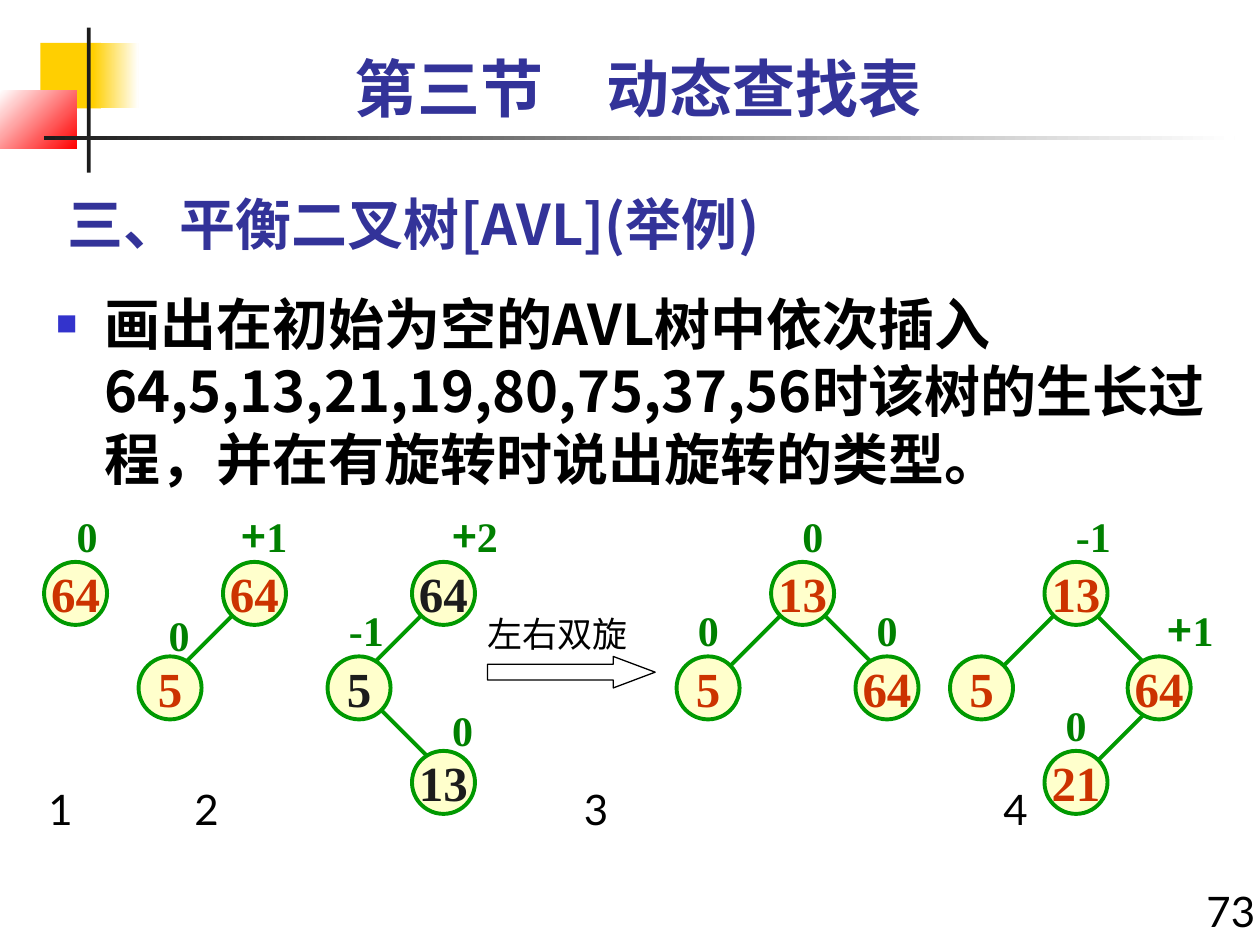
from lxml import etree
from pptx import Presentation
from pptx.dml.color import RGBColor
from pptx.enum.shapes import MSO_CONNECTOR, MSO_SHAPE
from pptx.enum.text import MSO_ANCHOR, PP_ALIGN
from pptx.oxml.ns import qn
from pptx.util import Inches, Pt

LEFT, CENTER, RIGHT = PP_ALIGN.LEFT, PP_ALIGN.CENTER, PP_ALIGN.RIGHT
RECT, OVAL, ARROW = MSO_SHAPE.RECTANGLE, MSO_SHAPE.OVAL, MSO_SHAPE.RIGHT_ARROW
MIDDLE, BOTTOM = MSO_ANCHOR.MIDDLE, MSO_ANCHOR.BOTTOM
STRAIGHT = MSO_CONNECTOR.STRAIGHT

WHITE = RGBColor(0xFF, 0xFF, 0xFF)
BLACK = RGBColor(0x00, 0x00, 0x00)
INK = RGBColor(0x1C, 0x1C, 0x1C)
YELLOW = RGBColor(0xFF, 0xCF, 0x01)
RED = RGBColor(0xFF, 0x00, 0x00)
NAVY = RGBColor(0x33, 0x33, 0x99)
BULLET_COLOR = RGBColor(0x33, 0x33, 0xCC)
NODE_FILL = RGBColor(0xFF, 0xFF, 0xCC)
NODE_LINE = RGBColor(0x00, 0x99, 0x00)
KEY_COLOR = RGBColor(0xCC, 0x33, 0x00)
FACTOR_COLOR = RGBColor(0x00, 0x80, 0x00)

CJK, SANS, SERIF = "Noto Sans CJK SC", "Lato", "Times New Roman"

SECTION = "第三节\u3000动态查找表"
TITLE = "三、平衡二叉树[AVL](举例)"
TASK = "画出在初始为空的AVL树中依次插入64,5,13,21,19,80,75,37,56时该树的生长过程，并在有旋转时说出旋转的类型。"
ROTATION = "左右双旋"
PAGE = "73"

# Decoration: box, first colour, last colour, gradient angle
DECORATION = [
    ((0.32, 0.34, 0.48, 0.52), YELLOW, None, 0),
    ((0.74, 0.34, 0.36, 0.52), YELLOW, WHITE, 0),
    ((0, 0.72, 0.61, 0.46), WHITE, RED, 315),
    ((0.69, 0.22, 0.03, 1.15), INK, None, 0),
    ((0.35, 1.08, 9.45, 0.03), INK, WHITE, 0),
]

# Trees: nodes (key, left, level), edges (start x, level, direction),
# balance factors (text, left, top)
TREES = [
    {"color": KEY_COLOR, "nodes": [("64", 0.35, 0)], "edges": [],
     "factors": [("0", 0.51, 4)]},
    {"color": KEY_COLOR, "nodes": [("64", 1.77, 0), ("5", 1.1, 1)],
     "edges": [(1.85, 0, -1)],
     "factors": [("+1", 1.82, 4), ("0", 1.24, 4.79)]},
    {"color": INK, "nodes": [("64", 3.27, 0), ("5", 2.6, 1), ("13", 3.27, 2)],
     "edges": [(3.35, 0, -1), (3.02, 1, 1)],
     "factors": [("+2", 3.49, 4), ("-1", 2.67, 4.75), ("0", 3.49, 5.54)]},
    {"color": KEY_COLOR, "nodes": [("13", 6.12, 0), ("5", 5.37, 1), ("64", 6.79, 1)],
     "edges": [(6.2, 0, -1), (6.54, 0, 1)],
     "factors": [("0", 6.27, 4), ("0", 5.44, 4.75), ("0", 6.86, 4.75)]},
    {"color": KEY_COLOR,
     "nodes": [("13", 8.29, 0), ("5", 7.54, 1), ("64", 8.95, 1), ("21", 8.29, 2)],
     "edges": [(8.37, 0, -1), (8.7, 0, 1), (9.12, 1, -1)],
     "factors": [("-1", 8.44, 4), ("+1", 9.17, 4.75), ("0", 8.36, 5.5)]},
]
STEPS = [("1", 0.19), ("2", 1.35), ("3", 4.44), ("4", 7.77)]

NODE_SIZE, TREE_TOP, LEVEL_GAP = 0.5, 4.46, 0.75
EDGE_TOP, EDGE_RUN = 4.88, 0.41
FACTOR_WIDTH = {"0": 0.36, "-": 0.48, "+": 0.56}

prs = Presentation()
prs.slide_width, prs.slide_height = Inches(10), Inches(7.5)
slide = prs.slides.add_slide(prs.slide_layouts[6])
shapes = slide.shapes


def style_run(run, size, font, color, bold):
    run.font.size, run.font.name, run.font.bold = Pt(size), font, bold
    run.font.color.rgb = color
    east_asian = etree.SubElement(run.font._element, qn("a:ea"))
    east_asian.set("typeface", CJK)


def add_text(text, box, size, font, color, bold=False, align=LEFT, wrap=True,
             tight=False):
    """Text box; tight fixes the line pitch at 1.2 times the size."""
    frame = shapes.add_textbox(*map(Inches, box)).text_frame
    frame.word_wrap = wrap
    paragraph = frame.paragraphs[0]
    paragraph.text, paragraph.alignment = text, align
    if tight:
        paragraph.line_spacing = Pt(1.2 * size)
    style_run(paragraph.runs[0], size, font, color, bold)
    return frame


def add_preset(kind, box):
    shape = shapes.add_shape(kind, *map(Inches, box))
    shape.shadow.inherit = False
    return shape


def add_node(key, left, level, color):
    node = add_preset(OVAL, (left, TREE_TOP + level * LEVEL_GAP, NODE_SIZE, NODE_SIZE))
    node.fill.solid()
    node.fill.fore_color.rgb = NODE_FILL
    node.line.color.rgb, node.line.width = NODE_LINE, Pt(2.25)
    frame = node.text_frame
    frame.word_wrap, frame.vertical_anchor = False, MIDDLE
    paragraph = frame.paragraphs[0]
    paragraph.text, paragraph.alignment = key, CENTER
    style_run(paragraph.runs[0], 28, SERIF, color, True)


def add_edge(x, level, direction):
    y = EDGE_TOP + level * LEVEL_GAP
    ends = (x, y, x + direction * EDGE_RUN, y + EDGE_RUN)
    edge = shapes.add_connector(STRAIGHT, *map(Inches, ends))
    edge.line.color.rgb, edge.line.width = NODE_LINE, Pt(2.25)
    etree.SubElement(edge._element.spPr, qn("a:effectLst"))


def add_factor(text, left, top):
    signed = text[0] == "+"
    frame = add_text(text[0] if signed else text, (left, top, FACTOR_WIDTH[text[0]], 0.5),
                     24, CJK if signed else SERIF, FACTOR_COLOR, True,
                     wrap=False, tight=signed)
    if signed:
        frame.margin_right = Inches(0.05)
        digit = frame.paragraphs[0].add_run()
        digit.text = text[1:]
        style_run(digit, 24, SERIF, FACTOR_COLOR, True)


# Corner decoration and rule
for box, first, last, angle in DECORATION:
    block = add_preset(RECT, box)
    block.line.fill.background()
    if last is None:
        block.fill.solid()
        block.fill.fore_color.rgb = first
    else:
        block.fill.gradient()
        block.fill.gradient_angle = angle
        for stop, color in zip(block.fill.gradient_stops, (first, last)):
            stop.color.rgb = color

# Headings and page number
title = add_text(TITLE, (0.44, 1.34, 7.75, 0.75), 32, CJK, NAVY, True, tight=True)
title.vertical_anchor = BOTTOM
add_text(PAGE, (9.39, 6.98, 0.67, 0.59), 24, SANS, BLACK, align=RIGHT)
add_text(SECTION, (0.44, 0.34, 9.25, 0.7), 36, SANS, NAVY, True, CENTER, tight=True)

# Bulleted task
task = add_text(TASK, (0.35, 2.25, 9.58, 4.42), 32, CJK, BLACK, True, tight=True)
task_props = task.paragraphs[0]._p.get_or_add_pPr()
task_props.set("marL", str(Inches(0.38)))
task_props.set("indent", str(-Inches(0.38)))
bullet_color = etree.SubElement(task_props, qn("a:buClr"))
etree.SubElement(bullet_color, qn("a:srgbClr")).set("val", str(BULLET_COLOR))
for tag, name, value in [("a:buSzPct", "val", "38000"), ("a:buFont", "typeface", CJK),
                         ("a:buChar", "char", "■")]:
    etree.SubElement(task_props, qn(tag)).set(name, value)

# Trees: edges lie below the nodes
for tree in TREES:
    for edge in tree["edges"]:
        add_edge(*edge)
    for node in tree["nodes"]:
        add_node(*node, tree["color"])
    for factor in tree["factors"]:
        add_factor(*factor)

# Rotation arrow and its label
arrow = add_preset(ARROW, (3.87, 5.21, 1.33, 0.25))
arrow.adjustments[0], arrow.adjustments[1] = 0.5, 1.33
arrow.fill.background()
arrow.line.color.rgb, arrow.line.width = BLACK, Pt(0.75)
add_text(ROTATION, (3.77, 4.81, 1.31, 0.44), 20, SERIF, BLACK, wrap=False, tight=True)

# Step numbers
for step, left in STEPS:
    add_text(step, (left, 6.17, 0.58, 0.5), 24, SANS, BLACK, align=CENTER)

prs.save("out.pptx")
